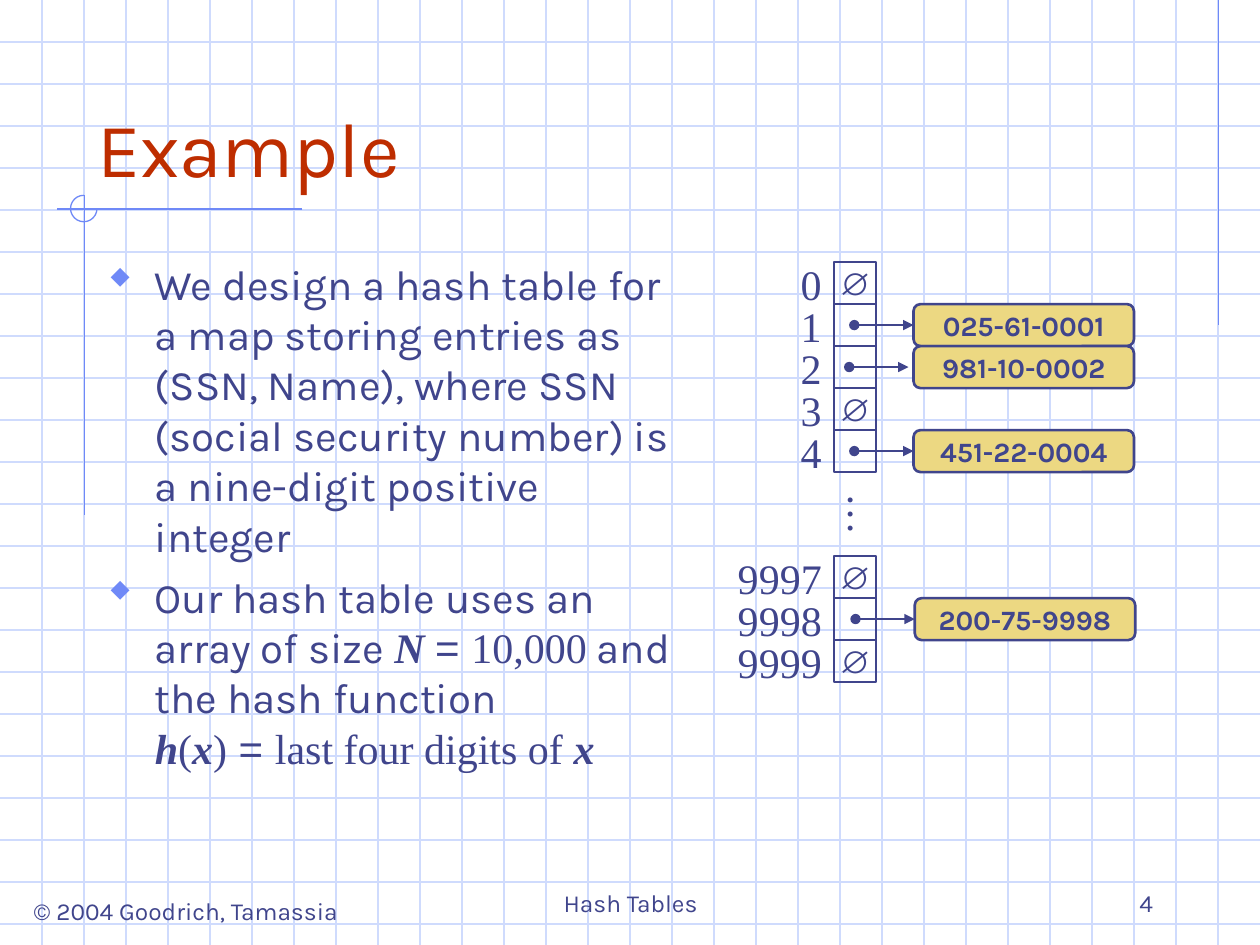
import lxml.etree
import pptx
import pptx.dml.color
import pptx.enum.shapes
import pptx.enum.text
import pptx.oxml.ns
import pptx.util

Inches = pptx.util.Inches
Pt = pptx.util.Pt
RGB = pptx.dml.color.RGBColor
SHAPE = pptx.enum.shapes.MSO_SHAPE
ALIGN = pptx.enum.text.PP_ALIGN
ANCHOR = pptx.enum.text.MSO_ANCHOR

GRID = RGB(0xCF, 0xDB, 0xFD)
BLUE = RGB(0x6F, 0x89, 0xF7)
INK = RGB(0x40, 0x45, 0x8C)
RED = RGB(0xBE, 0x2D, 0x00)
GOLD = RGB(0xEC, 0xD8, 0x82)

STEP = 1 / 3  # grid pitch, also the height of a table cell
TOP = 2.08
CELL_X = 6.62

# Font formats
SANS = {"name": "Karla", "size": Pt(24)}
SMALL = {"name": "Karla", "size": Pt(14)}
HEAD = {"name": "Karla", "size": Pt(44)}
KEY = {"name": "Karla", "size": Pt(16), "bold": True}
NULL = {"name": "Arial", "size": Pt(18)}
EQUAL = {"name": "Arial", "size": Pt(24)}
SERIF = {"name": "Times New Roman", "size": Pt(24)}
MATH = {**SERIF, "bold": True, "italic": True}

# Row on the grid, index, key (None for an empty cell), x shift of arrow and box
SLOTS = [
    (0, "0", None, 0, 0),
    (1, "1", "025-61-0001", 0, 0),
    (2, "2", "981-10-0002", -0.04, 0),
    (3, "3", None, 0, 0),
    (4, "4", "451-22-0004", 0, 0),
    (7, "9997", None, 0, 0),
    (8, "9998", "200-75-9998", 0.01, 0.01),
    (9, "9999", None, 0, 0),
]

BODY = [
    [("We design a hash table for a map storing entries as (SSN, Name), "
      "where SSN (social security number) is a nine-digit positive integer", SANS)],
    [("Our hash table uses an array of size ", SANS), ("N ", MATH), ("= ", EQUAL),
     ("10,000", SERIF), (" and the hash function", SANS), None,
     ("h", MATH), ("(", SERIF), ("x", MATH), (")", SERIF), (" = ", EQUAL),
     ("last four digits of ", SERIF), ("x", MATH)],
]


def add_xml(parent, tag, **attrs):
    return lxml.etree.SubElement(parent, pptx.oxml.ns.qn(tag), attrs)


def add_run(para, text, style, color=INK):
    run = para.add_run()
    run.text = text
    for name, value in style.items():
        setattr(run.font, name, value)
    run.font.color.rgb = color


def set_frame(shape, align, anchor=ANCHOR.TOP, wrap=False):
    frame = shape.text_frame
    frame.word_wrap = wrap
    frame.vertical_anchor = anchor
    frame.paragraphs[0].alignment = align
    return frame.paragraphs[0]


def add_label(slide, box, text, style, align, anchor=ANCHOR.TOP, wrap=False):
    shape = slide.shapes.add_textbox(*map(Inches, box))
    add_run(set_frame(shape, align, anchor, wrap), text, style)
    return shape


def add_line(slide, start, end, color, width=0.75):
    line = slide.shapes.add_connector(
        pptx.enum.shapes.MSO_CONNECTOR.STRAIGHT, *map(Inches, (*start, *end)))
    line.line.color.rgb = color
    line.line.width = Pt(width)
    add_xml(line._element.spPr, "a:effectLst")
    return line


def add_arrow(slide, start, end):
    arrow = add_line(slide, start, end, INK, 1.5)
    ends = arrow.line._get_or_add_ln()
    add_xml(ends, "a:headEnd", type="oval")
    add_xml(ends, "a:tailEnd", type="triangle")
    return arrow


def add_box(slide, kind, box, fill=None, color=INK, width=1.5):
    shape = slide.shapes.add_shape(kind, *map(Inches, box))
    shape.shadow.inherit = False
    if fill is None:
        shape.fill.background()
    else:
        shape.fill.solid()
        shape.fill.fore_color.rgb = fill
    shape.line.color.rgb = color
    shape.line.width = Pt(width)
    return shape


def add_paper(slide):
    # Squared paper
    for i in range(1, 23):
        add_line(slide, (0, i * STEP), (10, i * STEP), GRID)
    for i in range(1, 30):
        add_line(slide, (i * STEP, 0), (i * STEP, 7.5), GRID)
    # Blue rules and the open circle at their crossing
    add_line(slide, (9.67, 0), (9.67, 2.58), BLUE)
    add_line(slide, (2.4, 1.66), (0.45, 1.66), BLUE)
    add_line(slide, (0.67, 1.55), (0.67, 4.09), BLUE)
    arc = add_box(slide, SHAPE.ARC, (0.56, 1.55, 0.21, 0.21), color=BLUE, width=0.75)
    arc.adjustments[0] = 0
    arc.adjustments[1] = 162  # 270 degrees


def add_title(slide, text):
    title = slide.shapes.title
    title.left, title.top, title.width, title.height = map(
        Inches, (0.67, 0.33, 8.5, 1.25))
    add_run(set_frame(title, ALIGN.LEFT, ANCHOR.BOTTOM, True), text, HEAD, RED)
    slide.shapes._spTree.append(title._element)  # in front of the paper


def add_body(slide):
    shape = slide.shapes.add_textbox(*map(Inches, (0.75, 2, 4.75, 4.83)))
    para = set_frame(shape, ALIGN.LEFT, wrap=True)
    for i, runs in enumerate(BODY):
        if i:
            para = shape.text_frame.add_paragraph()
        para.space_before = Pt(6)
        props = para._p.get_or_add_pPr()
        props.set("marL", str(Inches(0.38)))
        props.set("indent", str(Inches(-0.38)))
        add_xml(add_xml(props, "a:buClr"), "a:srgbClr", val=str(BLUE))
        add_xml(props, "a:buSzPct", val="110000")
        # In this symbol font the letter w is the diamond
        add_xml(props, "a:buFont", typeface="Wingdings", charset="2")
        add_xml(props, "a:buChar", char="w")
        for run in runs:
            if run is None:
                para.add_line_break()
            else:
                add_run(para, *run)


def add_slot(slide, row, index, key, shift, nudge):
    top = TOP + row * STEP
    cell = add_box(slide, SHAPE.RECTANGLE, (CELL_X, top, STEP, STEP))
    wide = 0.38 if len(index) == 1 else 0.92  # room for the digits on one line
    add_label(slide, (6.62 - wide, top - 0.08, wide, 0.5), index, SERIF, ALIGN.RIGHT)
    if key is None:
        add_run(set_frame(cell, ALIGN.CENTER, ANCHOR.MIDDLE), "∅", NULL)
        return
    entry = add_box(slide, SHAPE.ROUNDED_RECTANGLE,
                    (7.25 + nudge, top, 1.75, STEP), GOLD)
    add_run(set_frame(entry, ALIGN.CENTER, ANCHOR.MIDDLE), key, KEY)
    mid = top + STEP / 2
    arrow = add_arrow(slide, (6.78 + shift, mid), (7.25 + shift, mid))
    if shift == nudge:  # the tip touches the box
        arrow.end_connect(entry, 1)


def main():
    deck = pptx.Presentation()
    deck.slide_width, deck.slide_height = Inches(10), Inches(7.5)
    slide = deck.slides.add_slide(deck.slide_layouts[5])

    add_paper(slide)
    add_title(slide, "Example")
    add_body(slide)

    # Hash table
    for slot in SLOTS:
        add_slot(slide, *slot)
    dots = add_label(slide, (6.6, 3.83, 0.53, 0.5), "…", SERIF, ALIGN.CENTER)
    dots.rotation = 90

    # Footer
    add_label(slide, (0.12, 7.06, 2.71, 0.34), "© 2004 Goodrich, Tamassia",
              SMALL, ALIGN.CENTER)
    add_label(slide, (3.42, 6.83, 3.17, 0.5), "Hash Tables",
              SMALL, ALIGN.CENTER, ANCHOR.BOTTOM, True)
    add_label(slide, (7.17, 6.83, 2.08, 0.5), "4",
              SMALL, ALIGN.RIGHT, ANCHOR.BOTTOM, True)

    deck.save("out.pptx")


if __name__ == "__main__":
    main()
